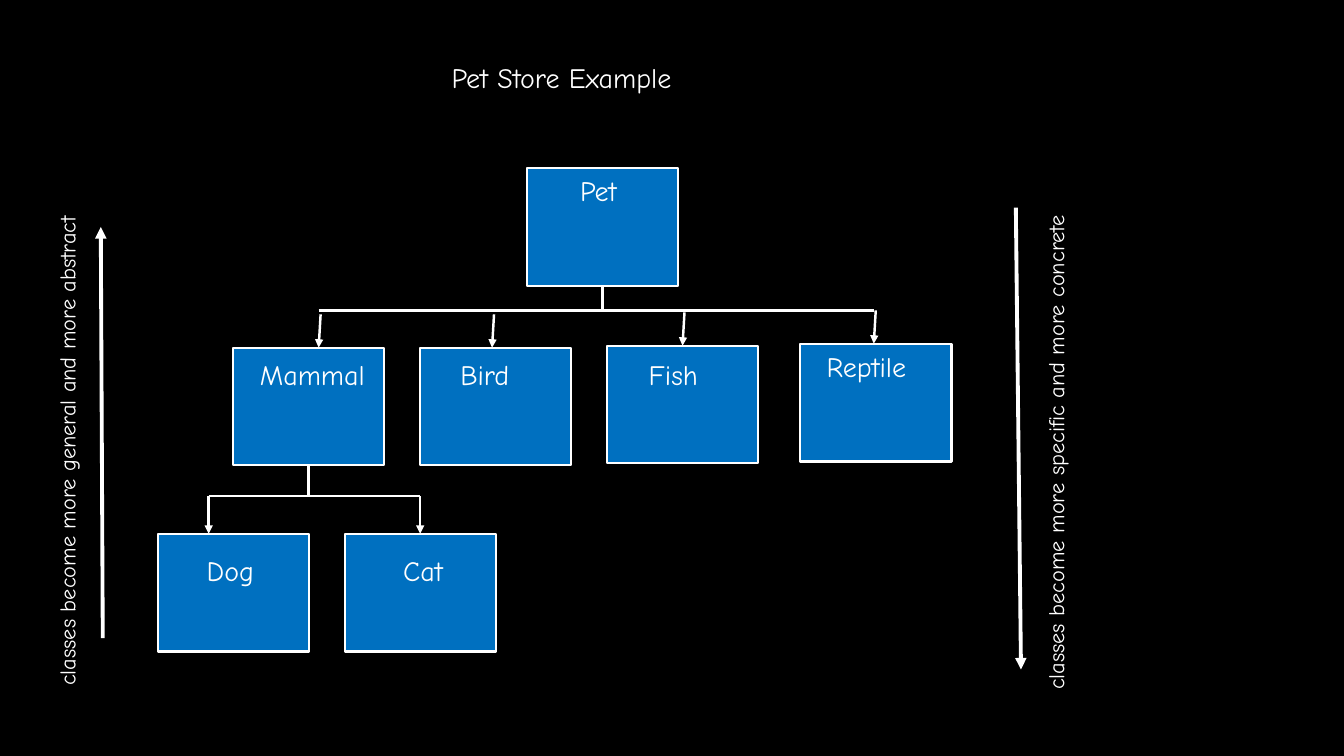
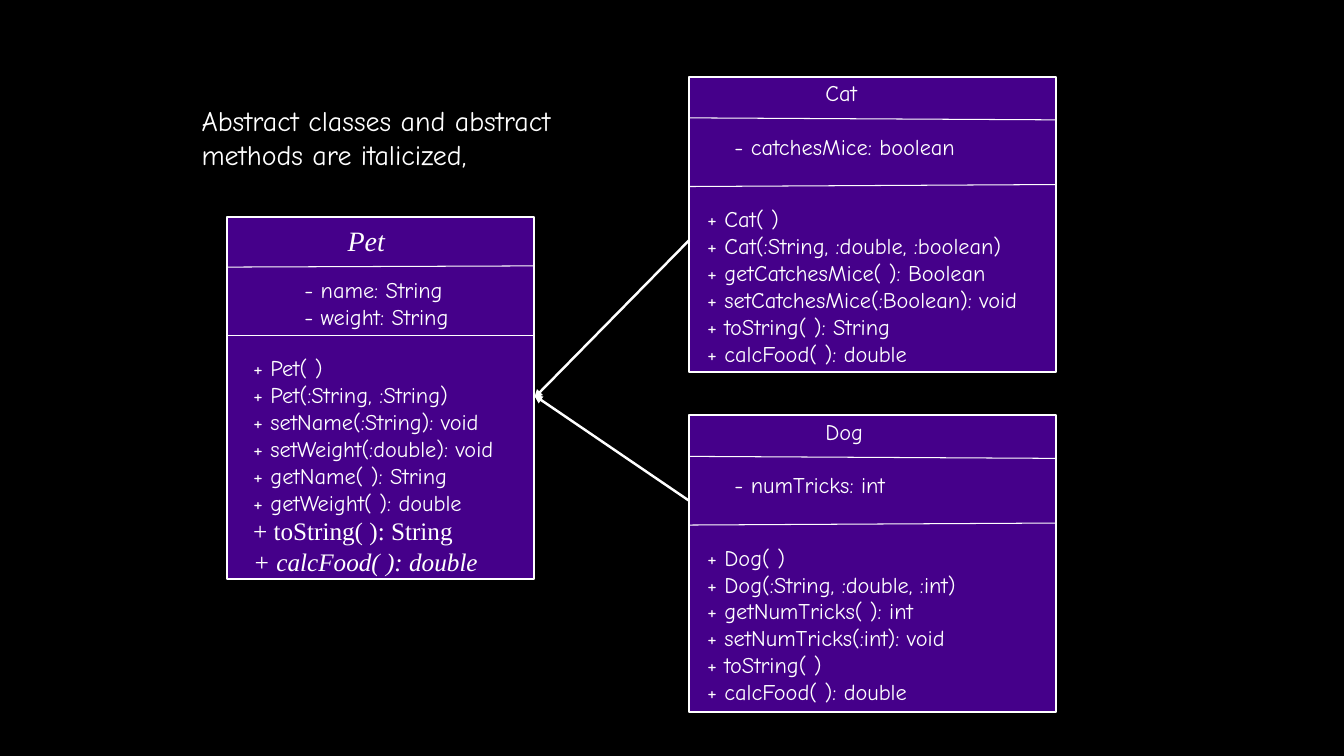
from dataclasses import dataclass

from pptx import Presentation
from pptx import util as u
from pptx.dml.color import RGBColor
from pptx.enum import shapes, text
from pptx.oxml.ns import qn
from lxml import etree

WHITE, BLACK, BLUE, PURPLE = "FFFFFF", "000000", "0070C0", "45008A"
BODY_FONT, ABSTRACT_FONT = "Comic Neue", "Times New Roman"
BOX_WIDTH, BOX_HEIGHT = 3.81, 2.97
MARGIN = 0.13  # text inset above and below
LINE_PER_POINT = 0.043  # line height in cm for one point of text


@dataclass
class TreeBox:
    """A class in the tree; label and arrow offsets count from its left top."""
    name: str
    left: float
    top: float
    label_left: float
    label_top: float
    label_width: float
    arrow_left: float = 0

    @property
    def tip(self):
        return self.left + self.arrow_left, self.top


@dataclass
class ClassCard:
    """A class diagram; text places are (left, top, width) from its corner."""
    name: str
    fields: list
    methods: list
    box: tuple
    name_place: tuple
    fields_place: tuple
    methods_place: tuple
    dividers: tuple  # (left end, right end) heights
    abstract: bool = False


ROOT = TreeBox("Pet", 13.28, 4.24, 1.09, 0, 1.6)
MAMMAL = TreeBox("Mammal", 5.87, 8.76, 0.43, 0.13, 3.18, 2.16)
GROUPS = [
    MAMMAL,
    TreeBox("Bird", 10.59, 8.76, 0.76, 0.13, 1.93, 1.81),
    TreeBox("Fish", 15.29, 8.71, 0.81, 0.18, 1.9, 1.91),
    TreeBox("Reptile", 20.17, 8.66, 0.41, 0.03, 2.87, 1.85),
]
MAMMALS = [
    TreeBox("Dog", 3.99, 13.45, 0.97, 0.37, 1.78, 1.27),
    TreeBox("Cat", 8.69, 13.45, 1.22, 0.37, 1.65, 1.9),
]

CHILD_DIVIDERS = ((1.04, 1.09), (2.77, 2.72))
PET = ClassCard(
    "Pet",
    ["- name: String", "- weight: String"],
    ["+ Pet( )", "+ Pet(:String, :String)", "+ setName(:String): void",
     "+ setWeight(:double): void", "+ getName( ): String",
     "+ getWeight( ): double", "+ toString( ): String",
     "+ calcFood( ): double"],
    (5.72, 5.46, 7.75, 9.14),
    (2.79, 0.05, 1.47), (1.7, 1.37, 4.72), (0.41, 3.35, 7.52),
    ((1.27, 1.24), (3, 3)), abstract=True)
CAT = ClassCard(
    "Cat",
    ["- catchesMice: boolean"],
    ["+ Cat( )", "+ Cat(:String, :double, :boolean)",
     "+ getCatchesMice( ): Boolean", "+ setCatchesMice(:Boolean): void",
     "+ toString( ): String", "+ calcFood( ): double"],
    (17.37, 1.93, 9.25, 7.44),
    (3.18, -0.05, 1.42), (0.89, 1.3, 6.58), (0.2, 3.12, 9.22),
    CHILD_DIVIDERS)
DOG = ClassCard(
    "Dog",
    ["- numTricks: int"],
    ["+ Dog( )", "+ Dog(:String, :double, :int)", "+ getNumTricks( ): int",
     "+ setNumTricks(:int): void", "+ toString( )", "+ calcFood( ): double"],
    (17.37, 10.46, 9.25, 7.49),
    (3.18, -0.05, 1.52), (0.89, 1.3, 4.72), (0.2, 3.12, 7.7),
    CHILD_DIVIDERS)


def color(value):
    return RGBColor.from_string(value)


def style(paragraph, size, font=BODY_FONT, italic=None):
    for run in paragraph.runs:
        run.font.size = u.Pt(size)
        run.font.name = font
        run.font.italic = italic
        run.font.color.rgb = color(WHITE)


def add_text(slide, left, top, width, lines, size):
    """Place one paragraph for each line and return the text box."""
    height = len(lines) * size * LINE_PER_POINT + 2 * MARGIN
    shape = slide.shapes.add_textbox(*map(u.Cm, (left, top, width, height)))
    frame = shape.text_frame
    frame.text = "\n".join(lines)
    frame.word_wrap = False
    frame.auto_size = text.MSO_AUTO_SIZE.SHAPE_TO_FIT_TEXT
    for paragraph in frame.paragraphs:
        style(paragraph, size)
    return shape


def add_box(slide, left, top, width, height, fill):
    shape = slide.shapes.add_shape(
        shapes.MSO_SHAPE.RECTANGLE, *map(u.Cm, (left, top, width, height)))
    shape.shadow.inherit = False
    shape.fill.solid()
    shape.fill.fore_color.rgb = color(fill)
    shape.line.color.rgb = color(WHITE)
    shape.line.width = u.Pt(1.5)


def add_line(slide, start, end, weight=1.75, arrow=False):
    connector = slide.shapes.add_connector(
        shapes.MSO_CONNECTOR.STRAIGHT, *map(u.Cm, (*start, *end)))
    connector.line.color.rgb = color(WHITE)
    connector.line.width = u.Pt(weight)
    properties = connector._element.spPr
    if arrow:
        line = properties.find(qn("a:ln"))
        etree.SubElement(line, qn("a:tailEnd"), type="triangle")
    etree.SubElement(properties, qn("a:effectLst"))


def add_tree_box(slide, item):
    add_box(slide, item.left, item.top, BOX_WIDTH, BOX_HEIGHT, BLUE)
    add_text(slide, item.left + item.label_left, item.top + item.label_top,
             item.label_width, [item.name], 20)


def add_branch(slide, parent, children, rail_top, drop, slant=0):
    """Join a parent to its children by a stem, a rail and arrows."""
    center = parent.left + BOX_WIDTH / 2
    add_line(slide, (center, parent.top + BOX_HEIGHT), (center, rail_top))
    add_line(slide, (children[0].tip[0], rail_top),
             (children[-1].tip[0], rail_top))
    for child in children:
        x, y = child.tip
        add_line(slide, (x + slant, y - drop), (x, y), arrow=True)


def add_side_note(slide, start, end, center_x, width, wording):
    """Place a long arrow with upward text beside it."""
    add_line(slide, start, end, 2.75, arrow=True)
    shape = add_text(slide, center_x - width / 2, 10.44, width, [wording], 16)
    shape.rotation = 270


def add_class_card(slide, card):
    left, top, width, height = card.box
    add_box(slide, *card.box, PURPLE)

    def place(position, lines, size=16):
        x, y, text_width = position
        shape = add_text(slide, left + x, top + y, text_width, lines, size)
        return shape.text_frame.paragraphs

    name = place(card.name_place, [card.name], 20 if card.abstract else 16)
    place(card.fields_place, card.fields)
    methods = place(card.methods_place, card.methods)
    if card.abstract:
        style(name[0], 20, ABSTRACT_FONT, True)
        style(methods[-2], 18, ABSTRACT_FONT)
        style(methods[-1], 18, ABSTRACT_FONT, True)
    for left_end, right_end in card.dividers:
        add_line(slide, (left, top + left_end),
                 (left + width, top + right_end), 0.75)


def build_tree_slide(slide):
    add_text(slide, 11.13, 1.4, 6.73, ["Pet Store Example"], 20)
    for item in [ROOT, *GROUPS, *MAMMALS]:
        add_tree_box(slide, item)
    add_branch(slide, ROOT, GROUPS, 7.82, 0.84, slant=0.05)
    add_branch(slide, MAMMAL, MAMMALS, 12.5, 0.95)
    add_side_note(slide, (2.59, 16.08), (2.54, 5.72), 1.69, 13.23,
                  "classes become more general and more abstract")
    add_side_note(slide, (25.6, 5.23), (25.73, 16.87), 26.61, 13.44,
                  "classes become more specific and more concrete")


def build_class_slide(slide):
    for card in (PET, CAT, DOG):
        add_class_card(slide, card)
    add_line(slide, (17.37, 6.05), (13.46, 10.03), arrow=True)
    add_line(slide, (17.37, 12.62), (13.46, 9.96), arrow=True)
    add_text(slide, 4.83, 2.49, 10.59,
             ["Abstract classes and abstract", "methods are italicized,"], 20)


def main():
    presentation = Presentation()
    presentation.slide_width = u.Cm(33.87)
    presentation.slide_height = u.Cm(19.05)
    background = presentation.slide_master.background.fill
    background.solid()
    background.fore_color.rgb = color(BLACK)
    blank = presentation.slide_layouts[6]
    for build in (build_tree_slide, build_class_slide):
        build(presentation.slides.add_slide(blank))
    presentation.save("out.pptx")


if __name__ == "__main__":
    main()
